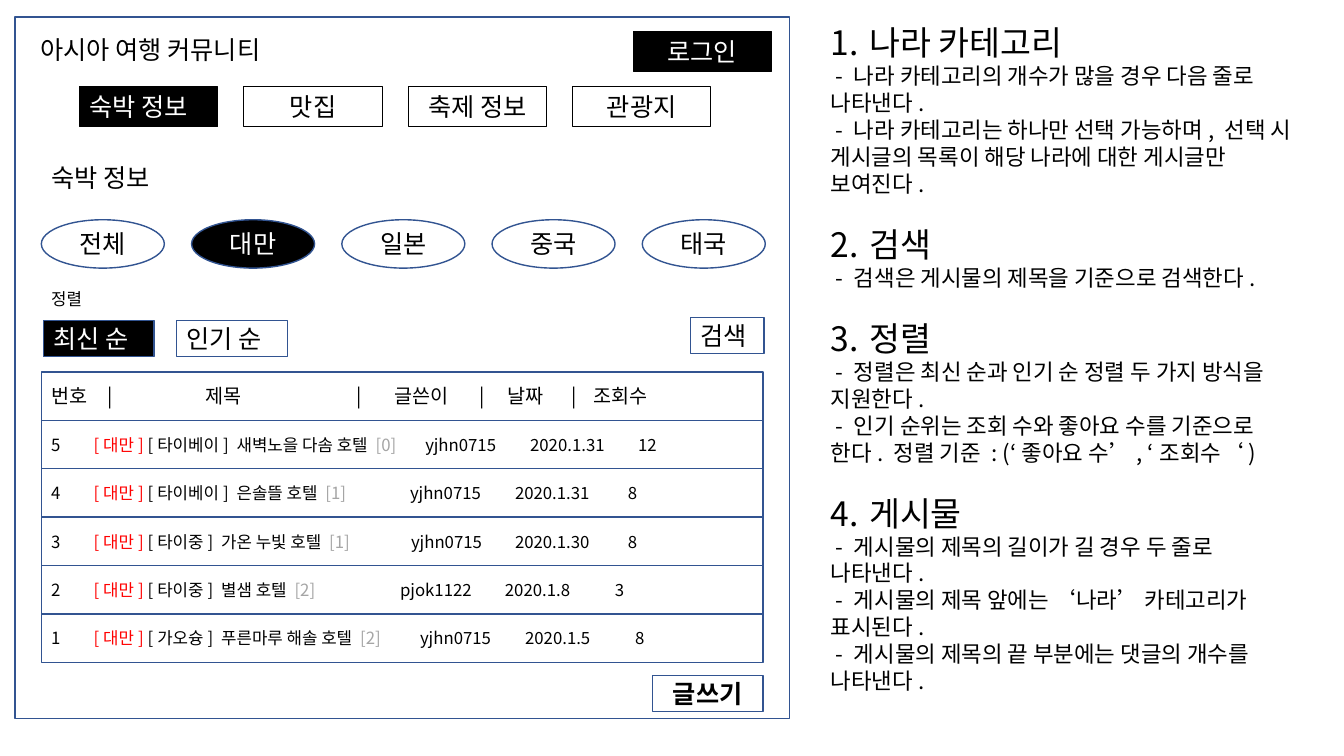
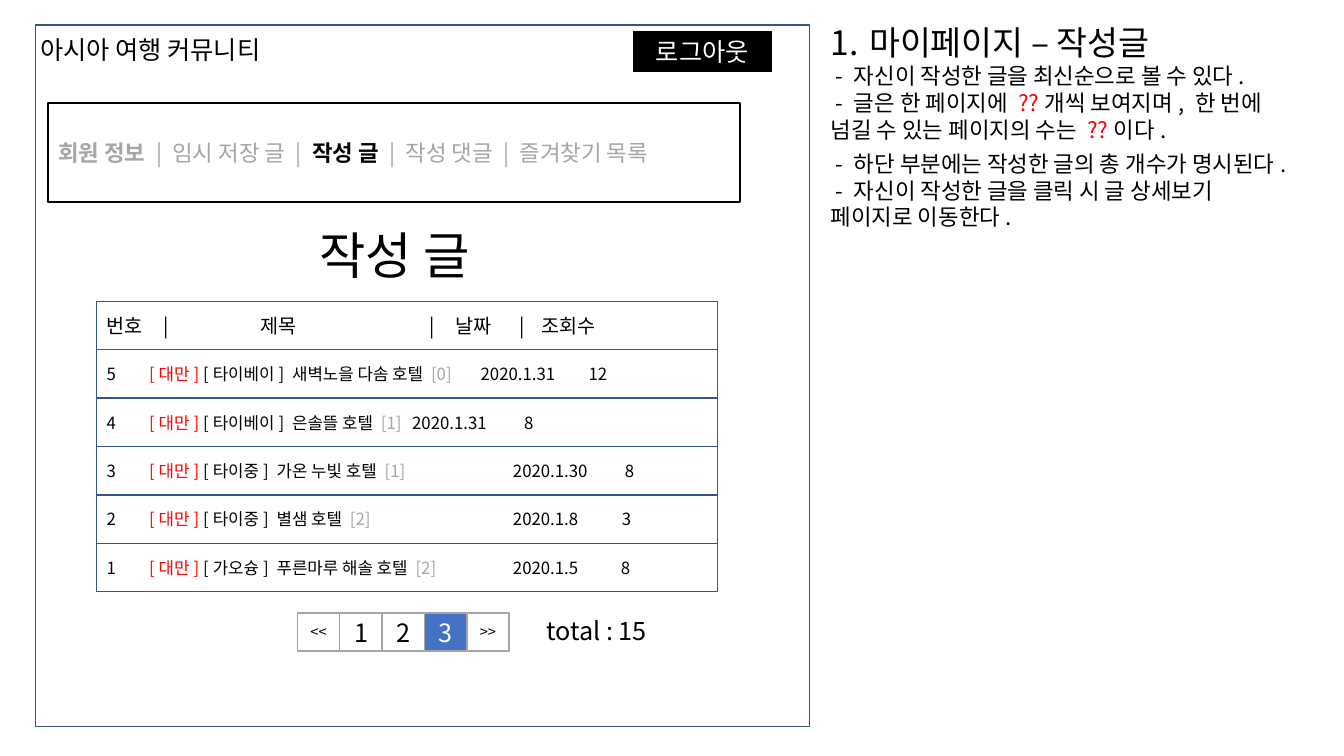
from dataclasses import dataclass

from lxml import etree
from pptx import Presentation
from pptx.dml.color import RGBColor
from pptx.enum.shapes import MSO_SHAPE
from pptx.enum.text import MSO_ANCHOR, MSO_AUTO_SIZE, PP_ALIGN
from pptx.oxml.ns import qn
from pptx.util import Inches, Pt

RECT, OVAL = MSO_SHAPE.RECTANGLE, MSO_SHAPE.OVAL
LEFT, CENTER = PP_ALIGN.LEFT, PP_ALIGN.CENTER
TOP, MIDDLE = MSO_ANCHOR.TOP, MSO_ANCHOR.MIDDLE
NO_FIT = MSO_AUTO_SIZE.NONE

FONT = "Noto Sans CJK KR"
BLACK, WHITE, RED = "000000", "FFFFFF", "FF0000"
NAVY, BLUE, GRAY = "325491", "4472C4", "A5A5A5"
LINE_RATIO = 1.2
ROW_H = 0.48


@dataclass(frozen=True)
class Span:
    text: str
    color: str = BLACK
    bold: bool = False


@dataclass(frozen=True)
class Box:
    x: float
    y: float
    w: float
    h: float
    text: str = ""
    size: float = 18
    color: str = BLACK
    bold: bool = False
    align: PP_ALIGN = CENTER
    fill: str | None = None
    line: str = NAVY
    weight: float = 1
    kind: MSO_SHAPE = RECT


@dataclass(frozen=True)
class Post:
    number: int
    city: str
    name: str
    replies: int
    cells: tuple[str, ...]
    stops: tuple[float, ...]


@dataclass(frozen=True)
class Note:
    spans: tuple[Span, ...]
    number: int = 0
    line_size: float = 16


@dataclass(frozen=True)
class Board:
    x: float
    y: float
    w: float
    header: tuple[str, ...]
    stops: tuple[float, ...]
    posts: tuple[Post, ...]


def rgb(color: str) -> RGBColor:
    return RGBColor.from_string(color)


def add_text(p, text: str, *, size: float = 18, color: str = BLACK, bold: bool = False) -> None:
    r = p.add_run()
    r.text = text
    r.font.size = Pt(size)
    r.font.bold = bold
    r.font.color.rgb = rgb(color)
    r.font.name = FONT
    etree.SubElement(r.font._element, qn("a:ea"), typeface=FONT)


def add_tabs(p, stops: tuple[float, ...]) -> None:
    tabs = etree.SubElement(p._p.get_or_add_pPr(), qn("a:tabLst"))
    for stop in stops:
        etree.SubElement(tabs, qn("a:tab"), pos=str(Inches(stop)), algn="l")


def set_frame(sp, anchor: MSO_ANCHOR, wrap: bool = True):
    tf = sp.text_frame
    tf.auto_size = NO_FIT
    tf.word_wrap = wrap
    tf.vertical_anchor = anchor
    tf.margin_left = tf.margin_right = Inches(0.1)
    tf.margin_top = tf.margin_bottom = Inches(0.05)
    return tf


def place(sp, x: float, y: float, w: float, h: float) -> None:
    sp.left, sp.top, sp.width, sp.height = map(Inches, (x, y, w, h))


def add_box(s, box: Box):
    sp = s.shapes.add_shape(box.kind, *map(Inches, (box.x, box.y, box.w, box.h)))
    sp.shadow.inherit = False
    if box.fill:
        sp.fill.solid()
        sp.fill.fore_color.rgb = rgb(box.fill)
    else:
        sp.fill.background()
    sp.line.color.rgb = rgb(box.line)
    sp.line.width = Pt(box.weight)
    p = set_frame(sp, MIDDLE, wrap=box.kind == RECT).paragraphs[0]
    p.alignment = box.align
    if box.text:
        add_text(p, box.text, size=box.size, color=box.color, bold=box.bold)
    return p


def add_label(s, x: float, y: float, w: float, h: float, text: str, size: float = 18) -> None:
    sp = s.shapes.add_textbox(*map(Inches, (x, y, w, h)))
    add_text(set_frame(sp, MIDDLE).paragraphs[0], text, size=size)


def add_board(s, board: Board) -> None:
    def row(i: int, stops: tuple[float, ...]):
        p = add_box(s, Box(board.x, board.y + i * ROW_H, board.w, ROW_H, align=LEFT))
        add_tabs(p, stops)
        return p

    add_text(row(0, board.stops), "\t".join(board.header), size=14)
    for i, post in enumerate(board.posts, 1):
        p = row(i, (0.42, *post.stops))
        add_text(p, f"{post.number}\t", size=12)
        add_text(p, "[대만]", size=12, color=RED)
        add_text(p, f" [{post.city}] {post.name} ", size=12)
        add_text(p, f"[{post.replies}]", size=12, color=GRAY)
        add_text(p, "\t" + "\t".join(post.cells), size=12)


def heading(number: int, text: str) -> Note:
    return Note((Span(text),), number, 24)


def item(*spans: Span | str, line_size: float = 16) -> Note:
    parts = [sp if isinstance(sp, Span) else Span(sp) for sp in spans]
    return Note((Span(" - "), *parts), line_size=line_size)


def add_notes(s, notes: tuple[Note, ...], h: float) -> None:
    sp = s.placeholders[1]
    place(sp, 8.14, 0.17, 4.84, h)
    tf = set_frame(sp, TOP)
    for i, note in enumerate(notes):
        p = tf.add_paragraph() if i else tf.paragraphs[0]
        pPr = p._p.get_or_add_pPr()
        indent = Inches(0.38) if note.number else 0
        pPr.set("marL", str(indent))
        pPr.set("indent", str(-indent))
        if note.number:
            etree.SubElement(pPr, qn("a:buAutoNum"), type="arabicPeriod", startAt=str(note.number))
        else:
            etree.SubElement(pPr, qn("a:buNone"))
        p.alignment = LEFT
        p.line_spacing = Pt(note.line_size * LINE_RATIO)
        p.space_before = Pt(16 * LINE_RATIO if note.number > 1 else 0)
        p.space_after = Pt(0)
        for span in note.spans:
            add_text(p, span.text, size=24 if note.number else 16, color=span.color)


def new_page(prs, x: float, y: float, account: str):
    s = prs.slides.add_slide(prs.slide_layouts[1])
    add_box(s, Box(x, y, 7.68, 6.96))
    title = s.shapes.title
    place(title, 0.3, 0.29, 2.66, 0.4)
    p = set_frame(title, MIDDLE).paragraphs[0]
    p.alignment = LEFT
    add_text(p, "아시아 여행 커뮤니티")
    add_box(s, Box(6.28, 0.31, 1.37, 0.4, account, color=WHITE, fill=BLACK, line=BLACK, weight=0.75))
    return s


LODGING_BOARD = Board(
    0.41, 3.69, 7.16,
    ("번호", "|", "제목", "|", "글쓴이", "|", "날짜", "|", "조회수"),
    (0.56, 1.53, 3.03, 3.4, 4.25, 4.53, 5.16, 5.38),
    (
        Post(5, "타이베이", "새벽노을 다솜 호텔", 0, ("yjhn0715", "2020.1.31", "12"), (3.71, 4.75, 5.82)),
        Post(4, "타이베이", "은솔뜰 호텔", 1, ("yjhn0715", "2020.1.31", "8"), (3.56, 4.6, 5.72)),
        Post(3, "타이중", "가온 누빛 호텔", 1, ("yjhn0715", "2020.1.30", "8"), (3.57, 4.6, 5.72)),
        Post(2, "타이중", "별샘 호텔", 2, ("pjok1122", "2020.1.8", "3"), (3.46, 4.5, 5.59)),
        Post(1, "가오슝", "푸른마루 해솔 호텔", 2, ("yjhn0715", "2020.1.5", "8"), (3.66, 4.7, 5.79)),
    ),
)

MY_STOPS = ((3.71, 4.78), (3.03, 4.14), (4.03, 5.14), (4.03, 5.11), (4.03, 5.1))
MY_BOARD = Board(
    0.96, 2.99, 6.16,
    ("번호", "|", "제목", "|", "날짜", "|", "조회수"),
    (0.56, 1.53, 3.2, 3.46, 4.09, 4.31),
    tuple(
        Post(post.number, post.city, post.name, post.replies, post.cells[1:], stops)
        for post, stops in zip(LODGING_BOARD.posts, MY_STOPS)
    ),
)

LODGING_NOTES = (
    heading(1, "나라 카테고리"),
    item("나라 카테고리의 개수가 많을 경우 다음 줄로 나타낸다."),
    item("나라 카테고리는 하나만 선택 가능하며, 선택 시 게시글의 목록이 해당 나라에 대한 게시글만 보여진다."),
    heading(2, "검색"),
    item("검색은 게시물의 제목을 기준으로 검색한다."),
    heading(3, "정렬"),
    item("정렬은 최신 순과 인기 순 정렬 두 가지 방식을 지원한다."),
    item("인기 순위는 조회 수와 좋아요 수를 기준으로 한다. 정렬 기준 : (‘좋아요 수’, ‘조회수‘)"),
    heading(4, "게시물"),
    item("게시물의 제목의 길이가 길 경우 두 줄로 나타낸다."),
    item("게시물의 제목 앞에는 ‘나라’ 카테고리가 표시된다."),
    item("게시물의 제목의 끝 부분에는 댓글의 개수를 나타낸다."),
)

UNDECIDED = Span("??", RED)
MY_NOTES = (
    heading(1, "마이페이지 – 작성글"),
    item("자신이 작성한 글을 최신순으로 볼 수 있다."),
    item("글은 한 페이지에 ", UNDECIDED, "개씩 보여지며, 한 번에 넘길 수 있는 페이지의 수는 ", UNDECIDED, "이다."),
    item("하단 부분에는 작성한 글의 총 개수가 명시된다.", line_size=20),
    item("자신이 작성한 글을 클릭 시 글 상세보기 페이지로 이동한다."),
)

MY_MENU = (
    Span("회원 정보 ", GRAY, True),
    Span("| 임시 저장 글 | ", GRAY),
    Span("작성 글 ", BLACK, True),
    Span("| 작성 댓글 | 즐겨찾기 목록", GRAY),
)


def build_lodging(prs) -> None:
    s = new_page(prs, 0.15, 0.17, "로그인")
    for i, text in enumerate(("숙박 정보", "맛집", "축제 정보", "관광지")):
        color, fill, align = (BLACK, None, CENTER) if i else (WHITE, BLACK, LEFT)
        add_box(s, Box(0.79 + 1.63 * i, 0.86, 1.37, 0.4, text, color=color, fill=fill,
                       align=align, line=BLACK, weight=0.75))
    for y, h, text, size in ((1.56, 0.4, "숙박 정보", 18), (2.81, 0.3, "정렬", 12)):
        add_box(s, Box(0.41, y, 1.37, h, text, size, align=LEFT, line=WHITE, weight=0.75))
    for i, text in enumerate(("전체", "대만", "일본", "중국", "태국")):
        color, fill = (WHITE, BLACK) if text == "대만" else (BLACK, WHITE)
        add_box(s, Box(0.41 + 1.49 * i, 2.18, 1.22, 0.48, text, color=color, fill=fill, kind=OVAL))
    add_box(s, Box(0.43, 3.18, 1.1, 0.36, "최신 순", color=WHITE, fill=BLACK, align=LEFT))
    add_box(s, Box(1.75, 3.18, 1.1, 0.36, "인기 순", align=LEFT))
    add_box(s, Box(6.85, 3.15, 0.73, 0.36, "검색", align=LEFT))
    add_board(s, LODGING_BOARD)
    add_box(s, Box(6.47, 6.7, 1.1, 0.36, "글쓰기", bold=True))
    add_notes(s, LODGING_NOTES, 6.9)


def build_my_posts(prs) -> None:
    s = new_page(prs, 0.35, 0.25, "로그아웃")
    p = add_box(s, Box(0.48, 1.02, 6.86, 0.98, align=LEFT, line=BLACK, weight=1.5))
    for span in MY_MENU:
        add_text(p, span.text, size=16, color=span.color, bold=span.bold)
    add_label(s, 3.07, 2.17, 1.93, 0.71, "작성 글", 36)
    add_board(s, MY_BOARD)
    for i, text in enumerate(("<<", "1", "2", "3", ">>")):
        color, fill = (WHITE, BLUE) if text == "3" else (BLACK, None)
        add_box(s, Box(2.95 + 0.42 * i, 6.08, 0.42, 0.38, text, 18 if text.isdigit() else 10.5,
                       color=color, fill=fill, line=GRAY))
    add_label(s, 5.32, 6.05, 1.33, 0.4, "total : 15")
    add_notes(s, MY_NOTES, 2.46)


def main() -> None:
    prs = Presentation()
    prs.slide_width, prs.slide_height = Inches(13.33), Inches(7.5)
    build_lodging(prs)
    build_my_posts(prs)
    prs.save("out.pptx")


if __name__ == "__main__":
    main()
